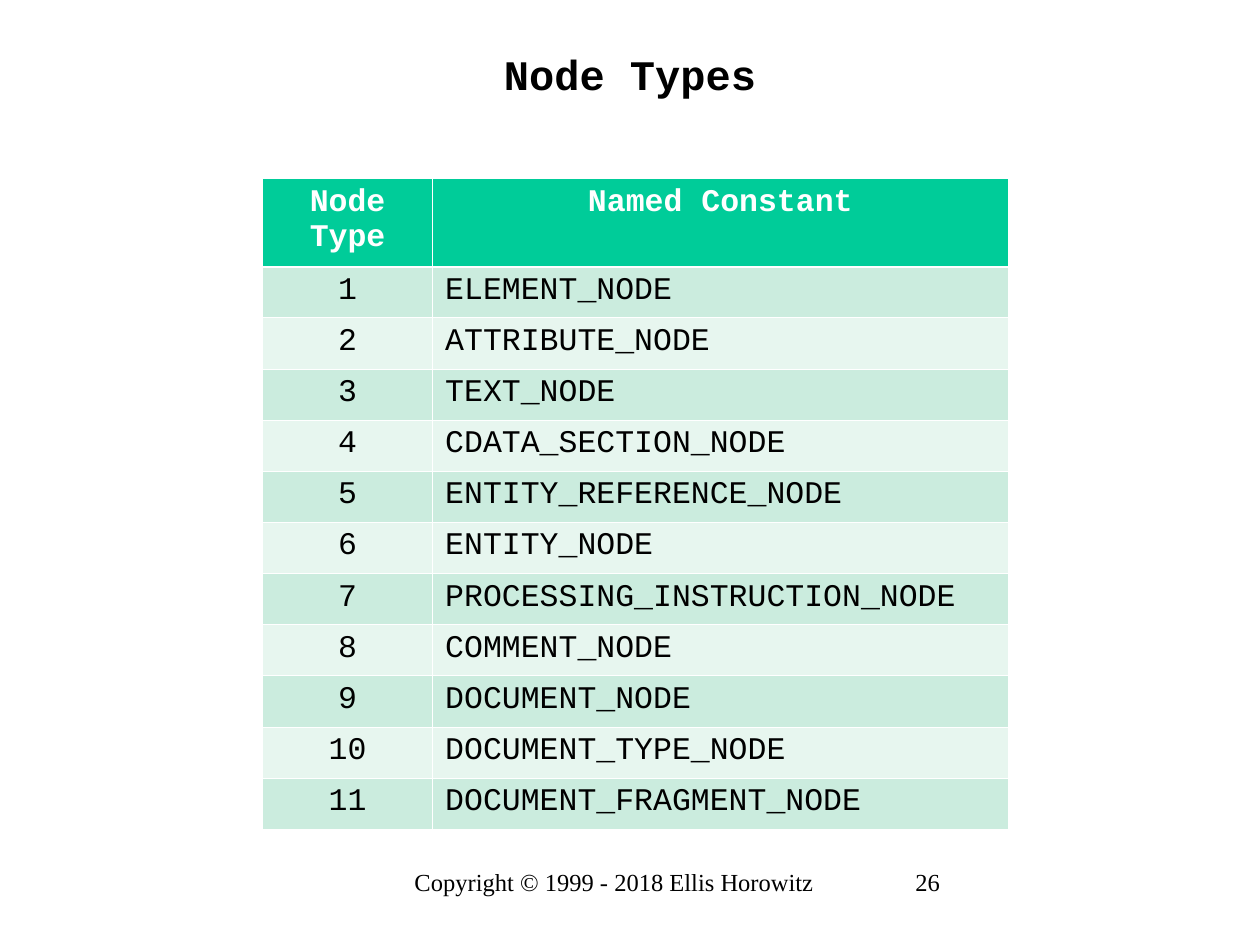
import pptx
import pptx.dml.color
import pptx.enum.text
import pptx.oxml
import pptx.oxml.ns
import pptx.util

RGBColor = pptx.dml.color.RGBColor
ALIGN = pptx.enum.text.PP_ALIGN
ANCHOR = pptx.enum.text.MSO_ANCHOR

BLACK = RGBColor(0x00, 0x00, 0x00)
WHITE = RGBColor(0xFF, 0xFF, 0xFF)
GREEN = RGBColor(0x00, 0xCC, 0x99)
BANDS = (RGBColor(0xCB, 0xEC, 0xDE), RGBColor(0xE7, 0xF6, 0xEF))

NODES = ("ELEMENT", "ATTRIBUTE", "TEXT", "CDATA_SECTION", "ENTITY_REFERENCE",
         "ENTITY", "PROCESSING_INSTRUCTION", "COMMENT", "DOCUMENT",
         "DOCUMENT_TYPE", "DOCUMENT_FRAGMENT")


class Deck:
    """Style and current slide; lengths are steps of a 120 x 90 grid."""

    CODE, SERIF = "Courier New", "Times New Roman"
    THIN, THICK = 0.45, 1.47

    def __init__(self, prs):
        self.step = prs.slide_width / 120
        self.s = prs.slides.add_slide(prs.slide_layouts[5])

    def grid(self, *steps):
        return [round(n * self.step) for n in steps]

    def set_text(self, tf, text, font, size, color=BLACK, bold=False, align=ALIGN.LEFT):
        tf.word_wrap = True
        p = tf.paragraphs[0]
        p.text, p.alignment = text, align
        p.font.name, p.font.size, p.font.bold = font, pptx.util.Pt(size), bold
        p.font.color.rgb = color

    def title(self, text, *box):
        sp = self.s.shapes.title
        sp.left, sp.top, sp.width, sp.height = self.grid(*box)
        sp.text_frame.vertical_anchor = ANCHOR.MIDDLE
        self.set_text(sp.text_frame, text, self.CODE, 24, bold=True, align=ALIGN.CENTER)

    def footer(self, text, *box, align=ALIGN.LEFT):
        sp = self.s.shapes.add_textbox(*self.grid(*box))
        self.set_text(sp.text_frame, text, self.SERIF, 14, align=align)

    def border(self, cell, side, width):
        ln = pptx.oxml.parse_xml(
            f'<a:ln{side} {pptx.oxml.ns.nsdecls("a")} w="{pptx.util.Pt(width)}">'
            f'<a:solidFill><a:srgbClr val="{WHITE}"/></a:solidFill></a:ln{side}>')
        cell._tc.get_or_add_tcPr().append(ln)

    def table(self, rows, left, top, widths, header, height):
        body = (height - header) / (len(rows) - 1)
        box = self.grid(left, top, sum(widths), height)
        table = self.s.shapes.add_table(len(rows), len(widths), *box).table
        for col, width in zip(table.columns, self.grid(*widths)):
            col.width = width
        for i, row in enumerate(rows):
            head = i == 0
            table.rows[i].height = self.grid(header if head else body)[0]
            for j, text in enumerate(row):
                cell = table.cell(i, j)
                # The rule between header and body is the thick one
                for side, thick in (("L", False), ("R", False),
                                    ("T", i == 1), ("B", head)):
                    self.border(cell, side, self.THICK if thick else self.THIN)
                cell.fill.solid()
                cell.fill.fore_color.rgb = GREEN if head else BANDS[(i - 1) % 2]
                self.set_text(cell.text_frame, text, self.CODE, 18,
                              WHITE if head else BLACK, head,
                              ALIGN.CENTER if head or j == 0 else ALIGN.JUSTIFY)


def main():
    prs = pptx.Presentation()
    prs.slide_width, prs.slide_height = pptx.util.Inches(10), pptx.util.Inches(7.5)
    deck = Deck(prs)

    # Title
    deck.title("Node Types", 9, 3, 102, 8)

    # Node type table
    rows = [("Node Type", "Named Constant")]
    rows += [(str(n), f"{name}_NODE") for n, name in enumerate(NODES, 1)]
    deck.table(rows, 25, 17, widths=(16.2, 54.8), header=8.4, height=62)

    # Footer and page number
    deck.footer("Copyright © 1999 - 2018 Ellis Horowitz", 38, 82, 41, 6,
                align=ALIGN.CENTER)
    deck.footer("26", 86, 82, 25, 6)

    prs.save("out.pptx")


if __name__ == "__main__":
    main()
